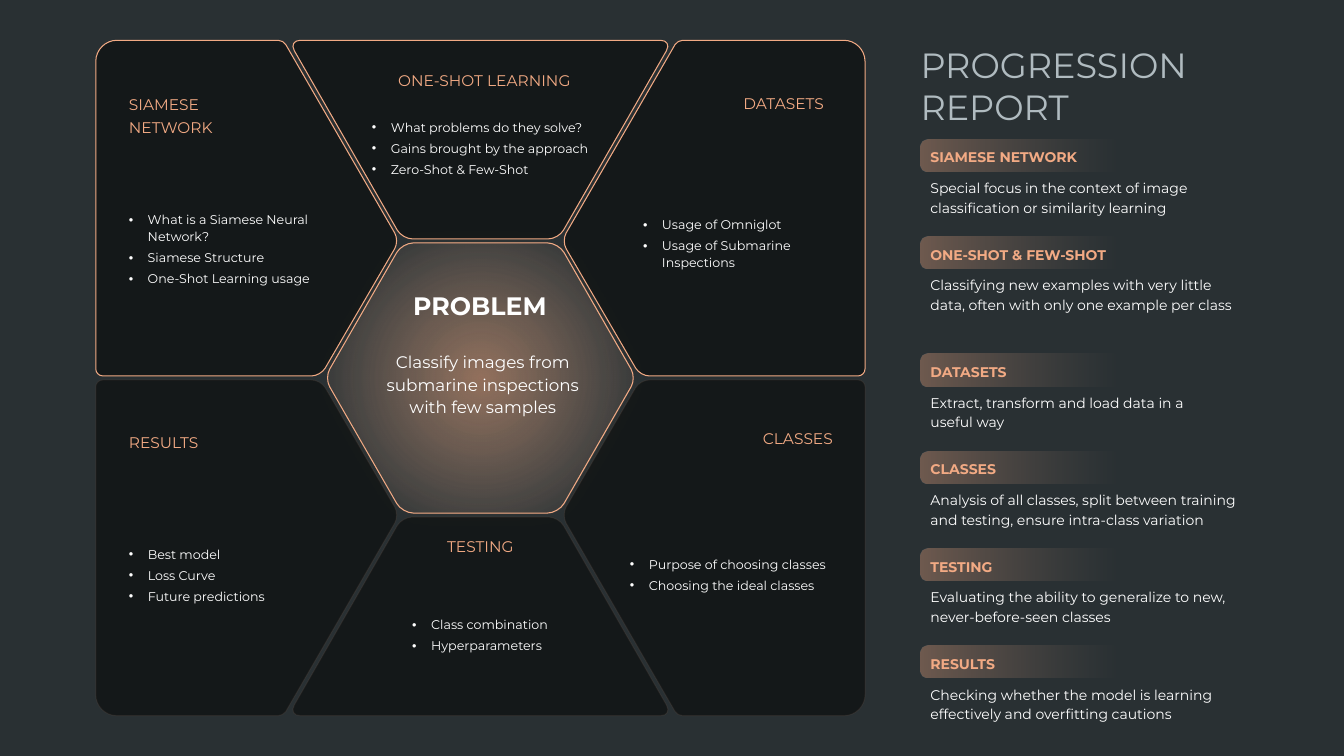
from math import dist

from lxml.etree import SubElement
from pptx import Presentation
from pptx.dml.color import RGBColor
from pptx.enum.shapes import MSO_SHAPE
from pptx.enum.text import MSO_ANCHOR, MSO_AUTO_SIZE, PP_ALIGN
from pptx.oxml.ns import qn
from pptx.util import Inches, Pt

COLORS = {"background": "293033", "panel": "141819", "accent": "F2AA84", "peach": "F6C6AD",
          "taupe": "A98B7B", "title": "B0BBC0", "white": "FFFFFF", "glow": "FFBE6C"}
FONT = "Montserrat"
BOARD_WIDTH, BOARD_HEIGHT = 9.53, 7.5
CORNER_PANEL = [(0.95, 0.4, 0.21), (2.81, 0.4, 0.05), (3.96, 2.39, 0.09),
                (3.18, 3.73, 0.09), (0.95, 3.73, 0.07)]
MIDDLE_PANEL = [(2.86, 0.4, 0.12), (6.67, 0.4, 0.12), (5.54, 2.37, 0.1), (3.99, 2.37, 0.1)]
HEXAGON = [(3.99, 2.41, 0.11), (5.54, 2.41, 0.11), (6.31, 3.75, 0.1),
           (5.54, 5.09, 0.11), (3.99, 5.09, 0.11), (3.22, 3.75, 0.1)]
TOPICS = [
    ("SIAMESE NETWORK", (1.18, 0.86, 1.29, 0.53), PP_ALIGN.LEFT, (1.18, 2.04, 2.37, 0.85),
     ["What is a Siamese Neural Network?", "Siamese Structure", "One-Shot Learning usage"]),
    ("ONE-SHOT LEARNING", (3.85, 0.62, 1.91, 0.31), PP_ALIGN.CENTER, (3.59, 1.12, 2.44, 0.68),
     ["What problems do they solve?", "Gains brought by the approach", "Zero-Shot & Few-Shot"]),
    ("DATASETS", (6.72, 0.85, 1.55, 0.31), PP_ALIGN.RIGHT, (6.28, 2.09, 2.09, 0.64),
     ["Usage of Omniglot", "Usage of Submarine Inspections"]),
    ("CLASSES", (6.76, 4.17, 1.6, 0.31), PP_ALIGN.RIGHT, (6.15, 5.46, 2.26, 0.47),
     ["Purpose of choosing classes", "Choosing the ideal classes"]),
    ("TESTING", (4.1, 5.24, 1.33, 0.31), PP_ALIGN.CENTER, (3.99, 6.06, 2.25, 0.47),
     ["Class combination", "Hyperparameters"]),
    ("RESULTS", (1.18, 4.21, 1.29, 0.31), PP_ALIGN.LEFT, (1.18, 5.36, 2.09, 0.68),
     ["Best model", "Loss Curve", "Future predictions"]),
]
SUMMARIES = [
    ("SIAMESE NETWORK", 3.09,
     "Special focus in the context of image classification or similarity learning"),
    ("ONE-SHOT & FEW-SHOT", 3.25,
     "Classifying new examples with very little data, often with only one example per class"),
    ("DATASETS", 3.09, "Extract, transform and load data in a useful way"),
    ("CLASSES", 3.25,
     "Analysis of all classes, split between training and testing, ensure intra-class variation"),
    ("TESTING", 3.25, "Evaluating the ability to generalize to new, never-before-seen classes"),
    ("RESULTS", 3.09,
     "Checking whether the model is learning effectively and overfitting cautions"),
]


def rgb(name):
    """Return the named colour."""
    return RGBColor.from_string(COLORS[name])


def add_text(slide, box, paragraphs, size, color="white", bold=False, align=PP_ALIGN.LEFT,
             spacing=None, after=0, anchor=MSO_ANCHOR.TOP, bullets=False, lead=False,
             inset=0.1):
    """Add a text box; lead makes its first paragraph a bold accent heading."""
    frame = slide.shapes.add_textbox(*map(Inches, box)).text_frame
    frame.word_wrap = True
    frame.auto_size = MSO_AUTO_SIZE.SHAPE_TO_FIT_TEXT
    frame.vertical_anchor = anchor
    frame.margin_left = Inches(inset)
    for index, content in enumerate(paragraphs):
        paragraph = frame.add_paragraph() if index else frame.paragraphs[0]
        paragraph.alignment = align
        paragraph.space_after = Pt(after)
        if spacing:
            paragraph.line_spacing = Pt(spacing)
        if bullets:
            properties = paragraph._p.get_or_add_pPr()
            properties.set("marL", str(Pt(13.5)))
            properties.set("indent", str(-Pt(13.5)))
            SubElement(properties, qn("a:buFont"), typeface="Arial")
            SubElement(properties, qn("a:buChar"), char="•")
        heading = lead and index == 0
        run = paragraph.add_run()
        run.text = content
        run.font.name = FONT
        run.font.size = Pt(size)
        run.font.bold = bold or heading
        run.font.color.rgb = rgb("accent" if heading else color)


def add_color(parent, name, opacity):
    """Append a colour with an opacity in percent."""
    color = SubElement(parent, qn("a:srgbClr"), val=COLORS[name])
    SubElement(color, qn("a:alpha"), val=str(opacity * 1000))


def fill_gradient(shape, stops, radial=False):
    """Fill a shape with a translucent gradient."""
    shape.fill.background()
    empty_fill = shape._element.spPr.find(qn("a:noFill"))
    gradient = SubElement(shape._element.spPr, qn("a:gradFill"), rotWithShape="1")
    stop_list = SubElement(gradient, qn("a:gsLst"))
    for position, name, opacity in stops:
        add_color(SubElement(stop_list, qn("a:gs"), pos=str(position * 1000)), name, opacity)
    if radial:
        focus = SubElement(gradient, qn("a:path"))
        focus.set("path", "circle")
        SubElement(focus, qn("a:fillToRect"), l="50000", t="50000", r="50000", b="50000")
    else:
        SubElement(gradient, qn("a:lin"), ang="0", scaled="0")
    shape._element.spPr.replace(empty_fill, gradient)


def toward(start, end, length):
    """Return the point at a length from start in the direction of end."""
    ratio = length / dist(start, end)
    return tuple(Inches(a + (b - a) * ratio) for a, b in zip(start, end))


def corner_curves(corners):
    """Return the four Bezier points that round each corner."""
    curves = []
    for index, (x, y, trim) in enumerate(corners):
        before, after = corners[index - 1][:2], corners[(index + 1) % len(corners)][:2]
        curves.append([toward((x, y), neighbour, length) for neighbour, length in
                       ((before, trim), (before, trim * 0.45),
                        (after, trim * 0.45), (after, trim))])
    return curves


def add_panel(slide, corners, opacity=100, flip_x=False, flip_y=False):
    """Add a rounded polygon, mirrored across the board when asked."""
    curves = corner_curves([(BOARD_WIDTH - x if flip_x else x,
                             BOARD_HEIGHT - y if flip_y else y, trim)
                            for x, y, trim in corners])
    start, *others = [point for curve in curves for point in (curve[0], curve[3])]
    builder = slide.shapes.build_freeform(*start)
    builder.add_line_segments(others, close=True)
    panel = builder.convert_to_shape()
    segments = list(panel._element.iter(qn("a:lnTo")))[::2]
    for segment, curve in zip(segments, curves):
        segment.tag = qn("a:cubicBezTo")
        for position, (x, y) in enumerate(curve[1:3]):
            control = SubElement(segment, qn("a:pt"), x=str(x - panel.left),
                                 y=str(y - panel.top))
            segment.insert(position, control)
    panel.shadow.inherit = False
    panel.fill.solid()
    panel.fill.fore_color.rgb = rgb("panel")
    panel.line.color.rgb = rgb("accent")
    panel.line.width = Pt(0.75)
    line_color = panel.line._ln.find(".//" + qn("a:srgbClr"))
    if opacity < 100:
        SubElement(line_color, qn("a:alpha"), val=str(opacity * 1000))
    return panel


def add_problem(slide):
    """Add the glowing hexagon with the problem statement."""
    hexagon = add_panel(slide, HEXAGON)
    fill_gradient(hexagon, [(0, "accent", 49), (88, "peach", 0)], radial=True)
    effects = hexagon._element.spPr.find(qn("a:effectLst"))
    glow = SubElement(effects, qn("a:outerShdw"), blurRad=str(Pt(20)), dist="0", dir="0")
    add_color(glow, "glow", 15)
    add_text(slide, (3.66, 3.42, 2.26, 0.76),
             ["Classify images from submarine inspections with few samples"], 12,
             align=PP_ALIGN.CENTER, spacing=16, after=3)
    add_text(slide, (3.95, 2.91, 1.62, 0.33), ["PROBLEM"], 18, bold=True,
             align=PP_ALIGN.CENTER, spacing=16, after=3)


def add_summary(slide, top, heading, width, description):
    """Add a fading heading bar and its description."""
    bar = slide.shapes.add_shape(MSO_SHAPE.ROUNDED_RECTANGLE, Inches(9.13), Inches(top),
                                 Inches(1.98), Inches(0.32))
    bar.adjustments[0] = 0.22
    bar.shadow.inherit = False
    bar.line.fill.background()
    fill_gradient(bar, [(0, "accent", 35), (100, "taupe", 0)])
    add_text(slide, (9.13, top + 0.02, width, 0.79), [heading, description], 10,
             spacing=14, after=8, lead=True)


def main():
    """Build and save the slide."""
    deck = Presentation()
    deck.slide_width, deck.slide_height = Inches(13.33), Inches(7.5)
    slide = deck.slides.add_slide(deck.slide_layouts[6])
    slide.background.fill.solid()
    slide.background.fill.fore_color.rgb = rgb("background")
    for lower, opacity in ((True, 8), (False, 100)):
        add_panel(slide, CORNER_PANEL, opacity, flip_x=lower, flip_y=lower)
        add_panel(slide, MIDDLE_PANEL, opacity, flip_y=lower)
        add_panel(slide, CORNER_PANEL, opacity, flip_x=not lower, flip_y=lower)
    add_problem(slide)
    for heading, heading_box, align, points_box, points in TOPICS:
        add_text(slide, heading_box, [heading], 11, "accent", align=align, spacing=16, after=3)
        add_text(slide, points_box, points, 9, spacing=12, after=3,
                 anchor=MSO_ANCHOR.MIDDLE, bullets=True)
    add_text(slide, (9.13, 0.38, 3.65, 0.94), ["PROGRESSION", "REPORT"], 25, "title", inset=0)
    for index, summary in enumerate(SUMMARIES):
        add_summary(slide, 1.38 + 0.965 * index + (0.2 if index > 1 else 0), *summary)
    deck.save("out.pptx")


if __name__ == "__main__":
    main()
